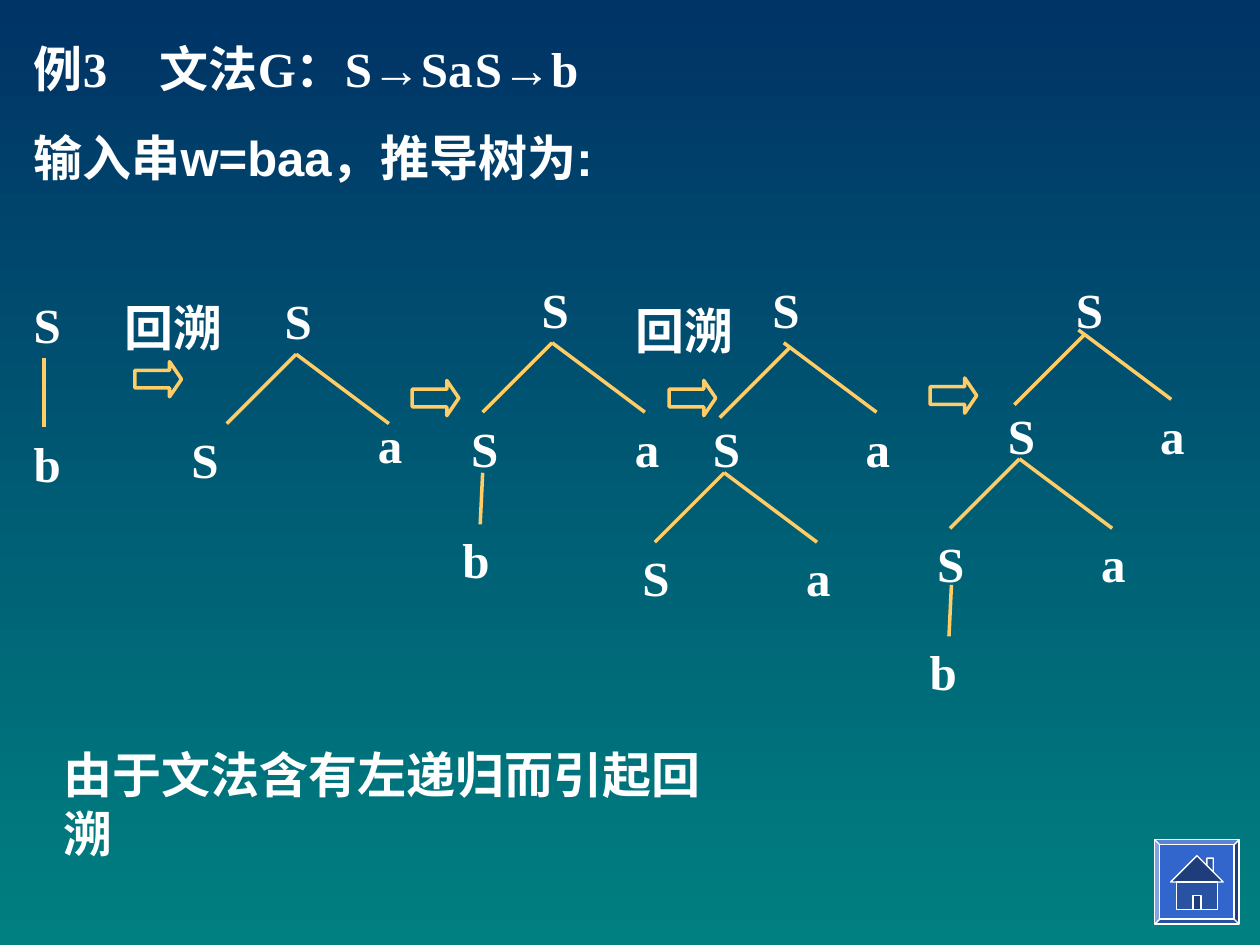
from lxml import etree
from pptx import Presentation, util as u
from pptx.dml.color import RGBColor
from pptx.enum import shapes, text
from pptx.oxml import ns

WHITE = RGBColor(0xFF, 0xFF, 0xFF)
GOLD = RGBColor(0xFF, 0xCC, 0x66)
NAVY = RGBColor(0x00, 0x33, 0x66)
TEAL = RGBColor(0x00, 0x80, 0x80)
BLUE = RGBColor(0x33, 0x66, 0xCC)
WALL_BLUE = RGBColor(0x29, 0x52, 0xA3)
ROOF_BLUE = RGBColor(0x1F, 0x3D, 0x7A)
SERIF, SANS = "Times New Roman", "Arial"

LEFT_BRANCH, RIGHT_BRANCH, STEM = (-1.4, 1.4), (1.87, 1.4), (-0.05, 1.04)

# Per tree: (text, left, top), (x, y) of fork apexes with the skew of the
# left branch, (x, y, offset) of stems, and (left, top) of the step arrow.
TREES = [
    dict(labels=[("S", 0.43, 5.82), ("b", 0.43, 8.61)],
         stems=[(0.89, 7.21, (0, 1.4))]),
    dict(labels=[("回溯", 2.26, 5.87), ("S", 5.49, 5.74),
                 ("S", 3.61, 8.53), ("a", 7.37, 8.23)],
         forks=[(5.97, 7.14, 0)], arrow=(2.72, 7.29)),
    dict(labels=[("S", 10.67, 5.51), ("S", 9.25, 8.31),
                 ("a", 12.55, 8.31), ("b", 9.07, 10.54)],
         forks=[(11.13, 6.91, 0)], stems=[(9.73, 9.53, STEM)],
         arrow=(8.31, 7.67)),
    dict(labels=[("回溯", 12.57, 5.94), ("S", 15.32, 5.51),
                 ("S", 14.12, 8.31), ("a", 17.2, 8.31),
                 ("S", 12.7, 10.92), ("a", 16, 10.92)],
         forks=[(15.8, 6.91, 0.11), (14.6, 9.53, 0)], arrow=(13.49, 7.67)),
    dict(labels=[("S", 21.44, 5.51), ("S", 20.07, 8.05),
                 ("a", 23.14, 8.05), ("S", 18.64, 10.64),
                 ("a", 21.95, 10.64), ("b", 18.49, 12.8)],
         forks=[(21.74, 6.65, 0.11), (20.55, 9.25, 0)],
         stems=[(19.18, 11.79, STEM)], arrow=(18.75, 7.62)),
]


def paint_background(page):
    fill = page.background.fill
    fill.gradient()
    fill.gradient_angle = 270
    for stop, color in zip(fill.gradient_stops, (NAVY, TEAL)):
        stop.color.rgb = color


def add_span(para, words, font=SERIF):
    span = para.add_run()
    span.text = words
    span.font.name = font
    span.font.size = u.Pt(28)
    span.font.bold = True
    span.font.color.rgb = WHITE


def add_tab_stops(para):
    stops = etree.SubElement(para._p.get_or_add_pPr(), ns.qn("a:tabLst"))
    for index in range(8):
        etree.SubElement(stops, ns.qn("a:tab"),
                         pos=str(u.Cm(2.54 * index)), algn="l")


def fill_title(page):
    title = page.shapes.title
    title.left, title.top = u.Cm(0.43), u.Cm(0.64)
    title.width, title.height = u.Cm(22.86), u.Cm(3.25)
    frame = title.text_frame
    frame.auto_size = text.MSO_AUTO_SIZE.NONE
    frame.vertical_anchor = text.MSO_ANCHOR.TOP
    lines = [("例3\t文法G：S→Sa\tS→b", SERIF), ("输入串w=baa，推导树为:", SANS)]
    for index, (words, font) in enumerate(lines):
        para = frame.add_paragraph() if index else frame.paragraphs[0]
        para.alignment = text.PP_ALIGN.LEFT
        para.space_before = u.Pt(17.5)
        properties = para._p.get_or_add_pPr()
        properties.set("marL", str(u.Cm(1.27)))
        properties.set("indent", str(u.Cm(-1.27)))
        add_tab_stops(para)
        add_span(para, words, font)


def add_label(target, words, left, top, width, height=2.1, wrap=True,
              alignment=text.PP_ALIGN.JUSTIFY):
    box = target.add_textbox(u.Cm(left), u.Cm(top), u.Cm(width), u.Cm(height))
    box.text_frame.word_wrap = wrap
    para = box.text_frame.paragraphs[0]
    para.alignment = alignment
    add_span(para, words)


def add_branch(target, x, y, offset):
    dx, dy = offset
    line = target.add_connector(shapes.MSO_CONNECTOR.STRAIGHT, u.Cm(x), u.Cm(y),
                                u.Cm(x + dx), u.Cm(y + dy))
    line.line.color.rgb = GOLD
    line.line.width = u.Pt(2)
    etree.SubElement(line._element.spPr, ns.qn("a:effectLst"))


def add_fork(target, x, y, skew):
    add_branch(target, x + skew, y + skew, LEFT_BRANCH)
    add_branch(target, x, y, RIGHT_BRANCH)


def add_step_arrow(target, left, top):
    arrow = target.add_shape(shapes.MSO_SHAPE.RIGHT_ARROW, u.Cm(left), u.Cm(top),
                             u.Cm(0.94), u.Cm(0.71))
    arrow.shadow.inherit = False
    arrow.adjustments[0], arrow.adjustments[1] = 0.5, 0.34
    arrow.fill.background()
    arrow.line.color.rgb = GOLD
    arrow.line.width = u.Pt(2)


def add_tree(page, labels, forks=(), stems=(), arrow=None):
    target = page.shapes.add_group_shape().shapes
    if arrow:
        add_step_arrow(target, *arrow)
    for words, left, top in labels:
        add_label(target, words, left, top, 3.25 if len(words) > 1 else 1.6)
    for fork in forks:
        add_fork(target, *fork)
    for stem in stems:
        add_branch(target, *stem)


def style_button_part(shape, color):
    shape.shadow.inherit = False
    shape.fill.solid()
    shape.fill.fore_color.rgb = color
    shape.line.color.rgb = WHITE
    shape.line.width = u.Pt(0.75)


def add_home_button(page):
    target = page.shapes.add_group_shape().shapes
    frame = target.add_shape(shapes.MSO_SHAPE.BEVEL, u.Cm(23.28), u.Cm(16.93),
                             u.Cm(1.7), u.Cm(1.7))
    frame.adjustments[0] = 0.06
    style_button_part(frame, BLUE)
    center_x, center_y = 24.13, 17.78
    chimney = [(0.2, -0.33), (0.2, -0.48), (0.33, -0.48), (0.33, -0.2)]
    roof = [(-0.53, 0), (0, -0.53), (0.53, 0)]
    wall = [(-0.41, 0), (0.41, 0), (0.41, 0.56), (-0.41, 0.56)]
    door = [(-0.08, 0.28), (0.08, 0.28), (0.08, 0.56), (-0.08, 0.56)]
    for outline, color in ((chimney, WALL_BLUE), (roof, ROOF_BLUE),
                           (wall, WALL_BLUE), (door, ROOF_BLUE)):
        points = [(u.Cm(center_x + x), u.Cm(center_y + y)) for x, y in outline]
        builder = target.build_freeform(*points[0])
        builder.add_line_segments(points[1:], close=True)
        style_button_part(builder.convert_to_shape(), color)


def main():
    deck = Presentation()
    deck.slide_width, deck.slide_height = u.Cm(25.4), u.Cm(19.05)
    page = deck.slides.add_slide(deck.slide_layouts[5])
    paint_background(page)
    fill_title(page)
    for tree in TREES:
        add_tree(page, **tree)
    add_home_button(page)
    add_label(page.shapes, "由于文法含有左递归而引起回溯", 1.04, 14.88, 14.3, 1.45,
              wrap=False, alignment=text.PP_ALIGN.LEFT)
    deck.save("out.pptx")


if __name__ == "__main__":
    main()
